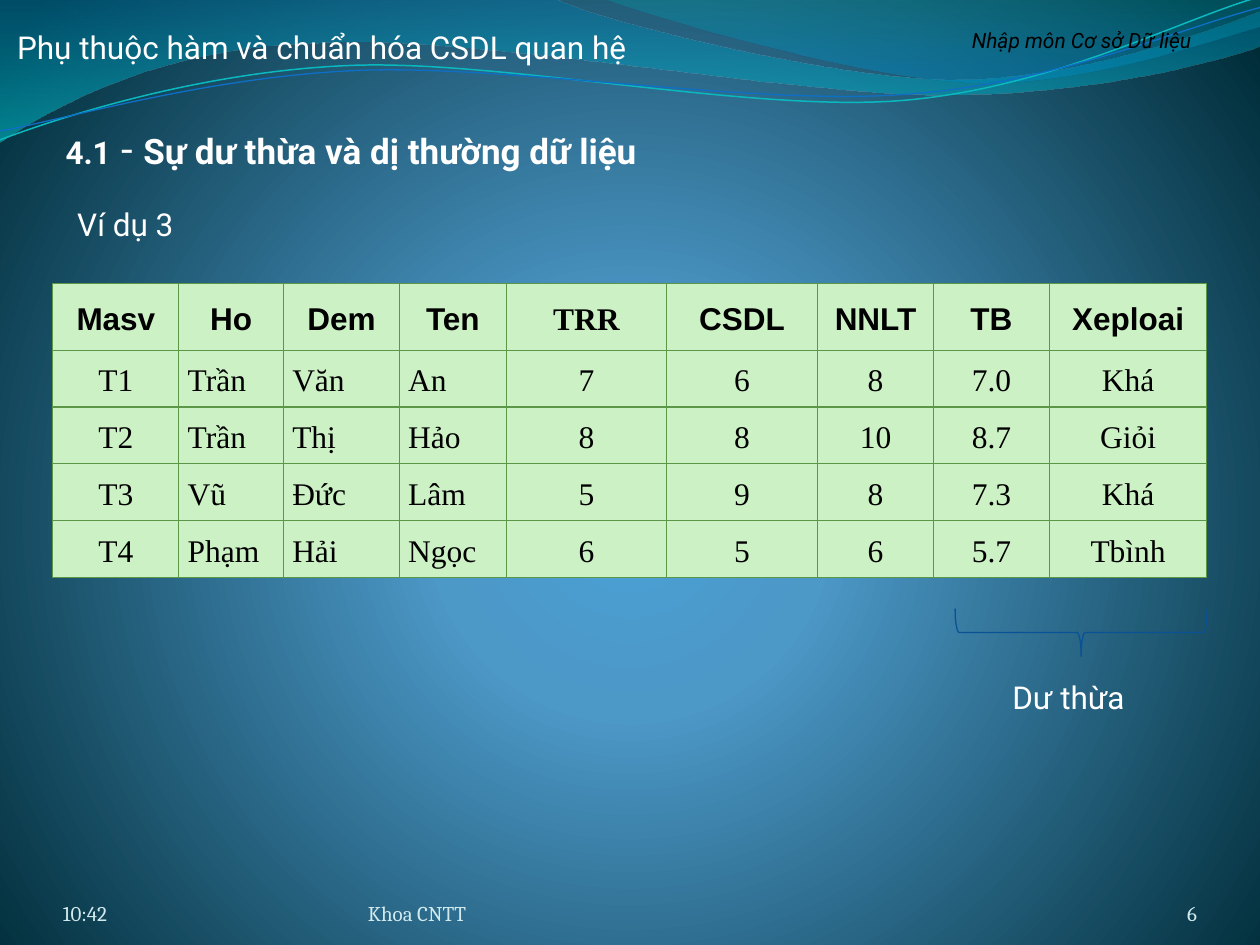
from dataclasses import dataclass
from math import cos, radians, sin

from lxml.etree import SubElement
from pptx import Presentation
from pptx.dml.color import RGBColor
from pptx.enum.shapes import MSO_SHAPE as SHAPE
from pptx.enum.text import MSO_ANCHOR as ANCHOR, MSO_AUTO_SIZE as AUTO, PP_ALIGN as ALIGN
from pptx.oxml.ns import qn
from pptx.util import Inches, Pt


@dataclass(frozen=True)
class Theme:
    white: str = "FFFFFF"
    black: str = "000000"
    footer: str = "D1EAEE"
    cell: str = "CCF1C5"
    border: str = "5B9747"
    brace: str = "095295"
    teal_line: str = "0AB8BF"
    blue_line: str = "0F6FC6"
    backdrop: tuple = ((0, "4AA0D6", 100), (25, "4C98C7", 100), (100, "002C38", 100))
    wide_wave: tuple = ((0, "0074A1", 45), (100, "00C6CF", 55))
    right_wave: tuple = ((0, "00A1A9", 30), (80, "008BBF", 45))
    heading: str = "Roboto"
    table_head: str = "Arial"
    table_body: str = "Times New Roman"
    foot: str = "Cambria"
    small: int = 12
    normal: int = 18
    title: int = 20
    dash: int = 24


T = Theme()

WIDE_WAVE = [
    (0, 0), (4.4, -0.01),
    (4.76, 0.17, 6.64, 0.63, 7.58, 0.63), (8.53, 0.63, 9.58, 0.26, 10, 0.09),
    (10.01, 0.36),
    (9.83, 0.44, 8.7, 0.76, 7.46, 0.75), (6.22, 0.75, 3.82, 0.28, 2.57, 0.34),
    (1.29, 0.36, 0.46, 0.83, -0.01, 1.13), (0, 0),
]
RIGHT_WAVE = [
    (4.79, -0.01),
    (5.09, 0.11, 6.82, 0.62, 7.69, 0.65), (8.56, 0.69, 9.61, 0.32, 10, 0.21),
    (10, 0), (4.79, -0.01),
]
TEAL_CURVE = [
    (0, 1.11), (0.48, 0.93, 1.58, 0.57, 2.77, 0.52),
    (3.95, 0.47, 5.93, 0.89, 7.13, 0.8), (8.33, 0.71, 9.38, 0.15, 9.98, -0.02),
]
BLUE_CURVE = [
    (0, 1.04), (0.47, 0.96, 1.64, 0.61, 2.83, 0.56),
    (4.03, 0.51, 5.97, 0.84, 7.17, 0.75), (8.36, 0.67, 9.41, 0.21, 10, 0.06),
]
CURVE_TILT = -2.7

COLUMNS = [("Masv", 1), ("Ho", 0.83), ("Dem", 0.92), ("Ten", 0.85), ("TRR", 1.27),
           ("CSDL", 1.2), ("NNLT", 0.92), ("TB", 0.92), ("Xeploai", 1.25)]
NAME_COLUMNS = {"Ho", "Dem", "Ten"}
STUDENTS = [
    ("T1", "Trần", "Văn", "An", "7", "6", "8", "7.0", "Khá"),
    ("T2", "Trần", "Thị", "Hảo", "8", "8", "10", "8.7", "Giỏi"),
    ("T3", "Vũ", "Đức", "Lâm", "5", "9", "8", "7.3", "Khá"),
    ("T4", "Phạm", "Hải", "Ngọc", "6", "5", "6", "5.7", "Tbình"),
]


def set_all(target, **values):
    for name, value in values.items():
        setattr(target, name, value)


def add_run(p, text, size, font, color, **style):
    r = p.add_run()
    r.text = text
    set_all(r.font, size=Pt(size), name=font, **style)
    r.font.color.rgb = RGBColor.from_string(color)


def add_label(s, box, text, size=T.normal, font=T.heading, color=T.white,
              align=ALIGN.CENTER, frame=None, **style):
    tf = s.shapes.add_textbox(*map(Inches, box)).text_frame
    set_all(tf, **(frame or {"word_wrap": False, "auto_size": AUTO.SHAPE_TO_FIT_TEXT}))
    p = tf.paragraphs[0]
    p.alignment = align
    add_run(p, text, size, font, color, **style)


def set_gradient(fill, owner, stops, kind, center=None, **direction):
    fill.gradient()
    grad = next(owner.iter(qn("a:gradFill")))
    for child in list(grad):
        grad.remove(child)
    gs_list = SubElement(grad, qn("a:gsLst"))
    for pos, color, alpha in stops:
        gs = SubElement(gs_list, qn("a:gs"), pos=str(pos * 1000))
        clr = SubElement(gs, qn("a:srgbClr"), val=color)
        if alpha < 100:
            SubElement(clr, qn("a:alpha"), val=str(alpha * 1000))
    shade = SubElement(grad, qn(kind), **direction)
    if center:
        SubElement(shade, qn("a:fillToRect"), **center)


def turn(segment, degrees, center):
    cx, cy = center
    c, d = cos(radians(degrees)), sin(radians(degrees))
    pairs = zip(segment[::2], segment[1::2])
    return [(Inches(cx + (x - cx) * c - (y - cy) * d),
             Inches(cy + (x - cx) * d + (y - cy) * c)) for x, y in pairs]


def add_outline(s, curve, close, tilt=0, center=(0, 0)):
    segments = [turn(segment, -tilt, center) for segment in curve]
    anchors = [segment[-1] for segment in segments]
    builder = s.shapes.build_freeform(*anchors[0])
    builder.add_line_segments(anchors[1:], close=close)
    sp = builder.convert_to_shape()
    lines = list(sp.element.iter(qn("a:lnTo")))
    for line, segment in zip(lines, segments[1:]):
        if len(segment) == 3:
            line.tag = qn("a:cubicBezTo")
            line.remove(line[0])
            for x, y in segment:
                SubElement(line, qn("a:pt"), x=str(x - sp.left), y=str(y - sp.top))
    sp.rotation = tilt
    sp.shadow.inherit = False
    return sp


def add_backdrop(s):
    set_gradient(s.background.fill, s.element, T.backdrop, "a:path", path="circle",
                 center={"l": "10000", "t": "110000", "r": "10000", "b": "100000"})
    for curve, stops in ((WIDE_WAVE, T.wide_wave), (RIGHT_WAVE, T.right_wave)):
        sp = add_outline(s, curve, True)
        set_gradient(sp.fill, sp.element, stops, "a:lin", ang="5400000", scaled="0")
        sp.line.fill.background()
    for curve, center, color, width in (
            (TEAL_CURVE, (4.99, 0.57), T.teal_line, 0.85),
            (BLUE_CURVE, (5, 0.59), T.blue_line, 0.75)):
        sp = add_outline(s, curve, False, CURVE_TILT, center)
        sp.fill.background()
        sp.line.color.rgb = RGBColor.from_string(color)
        sp.line.width = Pt(width)


def add_title(s, box):
    title = s.shapes.title
    set_all(title, **dict(zip(("left", "top", "width", "height"), map(Inches, box))))
    tf = title.text_frame
    set_all(tf, word_wrap=True, vertical_anchor=ANCHOR.TOP,
            auto_size=AUTO.SHAPE_TO_FIT_TEXT)
    p = tf.paragraphs[0]
    p.alignment = ALIGN.LEFT
    for text, size, bold in (("4.1", T.normal, True), (" - ", T.dash, False),
                             ("Sự dư thừa và dị thường dữ liệu", T.title, True)):
        add_run(p, text, size, T.heading, T.white, bold=bold)


def add_footer(s, top, height):
    frame = {"word_wrap": True, "vertical_anchor": ANCHOR.BOTTOM, "margin_left": 0,
             "margin_right": 0, "margin_top": 0, "margin_bottom": 0}
    for left, width, text, align in ((0.5, 2.33, "10:42", ALIGN.LEFT),
                                     (2.92, 3.67, "Khoa CNTT", ALIGN.LEFT),
                                     (8.67, 0.83, "6", ALIGN.RIGHT)):
        add_label(s, (left, top, width, height), text, T.small, T.foot, T.footer,
                  align, frame)


def format_cell(cell, text, font, align, bold):
    set_all(cell, vertical_anchor=ANCHOR.MIDDLE, margin_left=Inches(0.07),
            margin_right=Inches(0.07), margin_top=0, margin_bottom=0)
    p = cell.text_frame.paragraphs[0]
    set_all(p, alignment=align, line_spacing=1.15)
    add_run(p, text, T.normal, font, T.black, bold=bold)
    tc_pr = cell._tc.get_or_add_tcPr()
    for side in ("a:lnL", "a:lnR", "a:lnT", "a:lnB"):
        ln = SubElement(tc_pr, qn(side), w=str(Pt(0.75)))
        SubElement(SubElement(ln, qn("a:solidFill")), qn("a:srgbClr"), val=T.border)
    cell.fill.solid()
    cell.fill.fore_color.rgb = RGBColor.from_string(T.cell)


def add_grades(s, box):
    rows = [[name for name, _ in COLUMNS], *STUDENTS]
    table = s.shapes.add_table(len(rows), len(COLUMNS), *map(Inches, box)).table
    set_all(table, first_row=False, horz_banding=False)
    for column, (_, width) in zip(table.columns, COLUMNS):
        column.width = Inches(width)
    for i, row in enumerate(rows):
        head = i == 0
        table.rows[i].height = Inches(0.53 if head else 0.45)
        for j, text in enumerate(row):
            is_name = COLUMNS[j][0] in NAME_COLUMNS and not head
            font = T.table_head if head and text != "TRR" else T.table_body
            format_cell(table.cell(i, j), text, font,
                        ALIGN.LEFT if is_name else ALIGN.CENTER, head)


def add_redundancy_mark(s, brace_box, label_box):
    sp = s.shapes.add_shape(SHAPE.RIGHT_BRACE, *map(Inches, brace_box))
    sp.rotation = 90
    sp.shadow.inherit = False
    sp.fill.background()
    sp.line.color.rgb = RGBColor.from_string(T.brace)
    sp.line.width = Pt(0.75)
    add_label(s, label_box, "Dư thừa")


def main():
    prs = Presentation()
    set_all(prs, slide_width=Inches(10), slide_height=Inches(7.5))
    s = prs.slides.add_slide(prs.slide_layouts[5])
    add_backdrop(s)
    add_label(s, (7.17, 0.17, 2.83, 0.3), "Nhập môn Cơ sở Dữ liệu", T.small,
              color=T.black, italic=True,
              frame={"word_wrap": True, "auto_size": AUTO.SHAPE_TO_FIT_TEXT})
    add_label(s, (0, 0.17, 5.11, 0.4), "Phụ thuộc hàm và chuẩn hóa CSDL quan hệ")
    add_title(s, (0.42, 0.92, 7, 0.5))
    add_footer(s, 6.95, 0.4)
    add_label(s, (0.5, 1.58, 0.99, 0.4), "Ví dụ 3")
    add_grades(s, (0.42, 2.25, 9.17, 2.33))
    add_redundancy_mark(s, (8.39, 4.02, 0.38, 2), (7.92, 5.33, 1.12, 0.4))
    prs.save("out.pptx")


if __name__ == "__main__":
    main()
